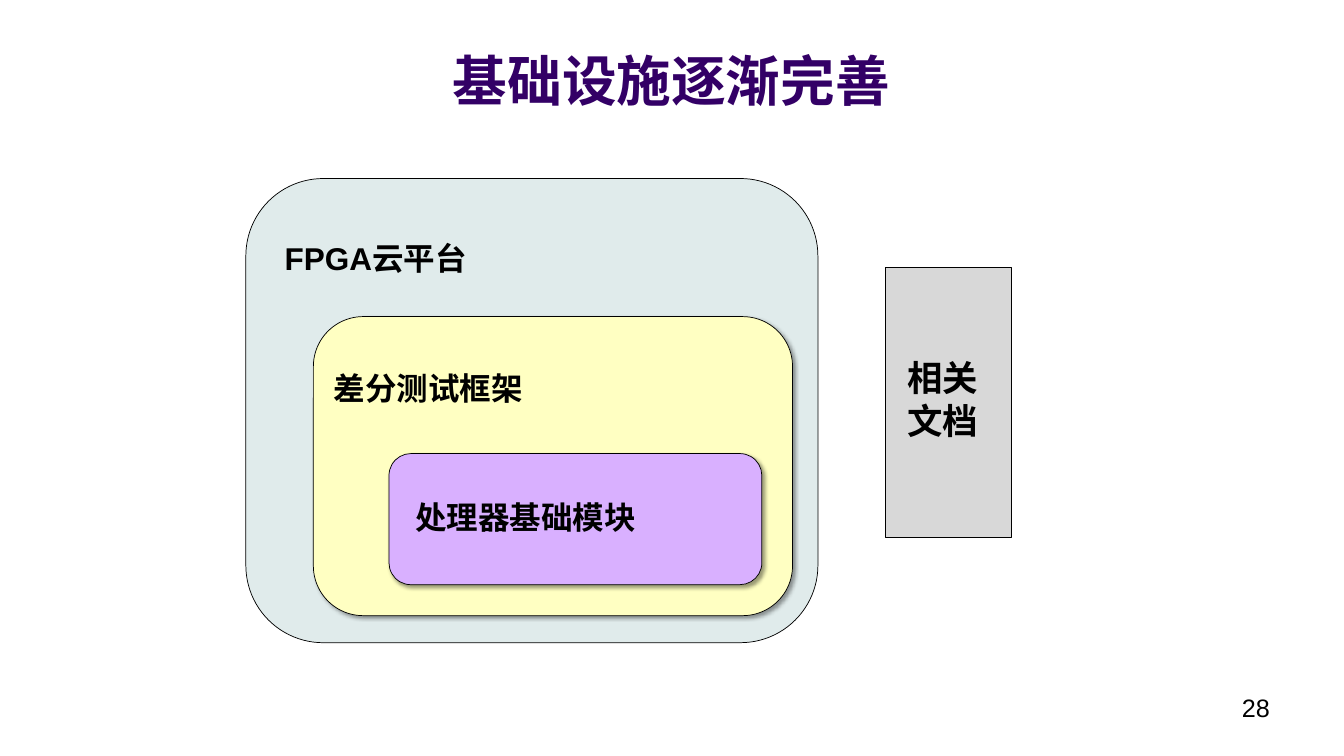
import pptx
import pptx.util
import pptx.dml.color
import pptx.enum.shapes
import pptx.enum.text
import pptx.oxml
import pptx.oxml.ns

Cm, Pt = pptx.util.Cm, pptx.util.Pt
SHAPE = pptx.enum.shapes.MSO_SHAPE
ALIGN = pptx.enum.text.PP_ALIGN
ANCHOR = pptx.enum.text.MSO_ANCHOR
SHADOW = (
    '<a:outerShdw xmlns:a="http://schemas.openxmlformats.org/drawingml/2006/main" '
    'blurRad="50800" dist="38100" dir="2700000" algn="tl" rotWithShape="0">'
    '<a:srgbClr val="000000"><a:alpha val="40000"/></a:srgbClr></a:outerShdw>'
)


def rgb(value):
    return pptx.dml.color.RGBColor.from_string(value)


class Deck:
    """Hold the style and the current slide, and draw its elements."""

    ink = "000000"
    accent = "330066"
    latin = "Arial"
    heading = "Noto Sans CJK SC"

    def __init__(self, width, height):
        self.prs = pptx.Presentation()
        self.prs.slide_width, self.prs.slide_height = Cm(width), Cm(height)
        self.s = self.prs.slides.add_slide(self.prs.slide_layouts[6])

    def fill_text(self, tf, lines, size, font, color, bold, align):
        tf.word_wrap = True
        for i, line in enumerate(lines):
            p = tf.add_paragraph() if i else tf.paragraphs[0]
            p.text = line
            p.alignment = align
            p.font.size, p.font.bold = Pt(size), bold
            p.font.name = font
            p.font.color.rgb = rgb(color)

    def title(self, text, box):
        tf = self.s.shapes.add_textbox(*map(Cm, box)).text_frame
        tf.vertical_anchor = ANCHOR.BOTTOM
        self.fill_text(tf, [text], 55.5, self.heading, self.accent, True, ALIGN.CENTER)

    def page_number(self, text, box):
        tf = self.s.shapes.add_textbox(*map(Cm, box)).text_frame
        self.fill_text(tf, [text], 25.6, self.latin, self.ink, False, ALIGN.RIGHT)

    def block(self, kind, lines, box, fill, size, left, top, shadow=False):
        sp = self.s.shapes.add_shape(kind, *map(Cm, box))
        sp.shadow.inherit = False
        if shadow:
            effects = sp._element.spPr.find(pptx.oxml.ns.qn("a:effectLst"))
            effects.append(pptx.oxml.parse_xml(SHADOW))
        sp.fill.solid()
        sp.fill.fore_color.rgb = rgb(fill)
        sp.line.color.rgb = rgb(self.ink)
        sp.line.width = Pt(0.75)
        tf = sp.text_frame
        tf.vertical_anchor = ANCHOR.TOP
        tf.margin_left, tf.margin_top = Cm(left), Cm(top)
        self.fill_text(tf, lines, size, self.latin, self.ink, True, ALIGN.LEFT)


def main():
    deck = Deck(48.16, 27.1)
    deck.title("基础设施逐渐完善", (2.41, 0.48, 43.31, 3.68))
    deck.page_number("28", (34.52, 24.69, 11.23, 1.8))
    layers = [
        ("FPGA云平台", (8.81, 6.4, 20.5, 16.64), "E0EBEB", 0.58, False),
        ("差分测试框架", (11.23, 11.35, 17.17, 10.72), "FFFFC2", 0.2, True),
        ("处理器基础模块", (13.94, 16.26, 13.36, 4.7), "D9B0FF", 0.71, True),
    ]
    for text, box, fill, left, shadow in layers:
        deck.block(SHAPE.ROUNDED_RECTANGLE, [text], box, fill, 32, left, 1.35, shadow)
    documents = (31.72, 9.58, 4.52, 9.7)
    deck.block(SHAPE.RECTANGLE, ["相关", "文档"], documents, "D8D8D8", 36, 0.79, 3.2)
    deck.prs.save("out.pptx")


if __name__ == "__main__":
    main()
